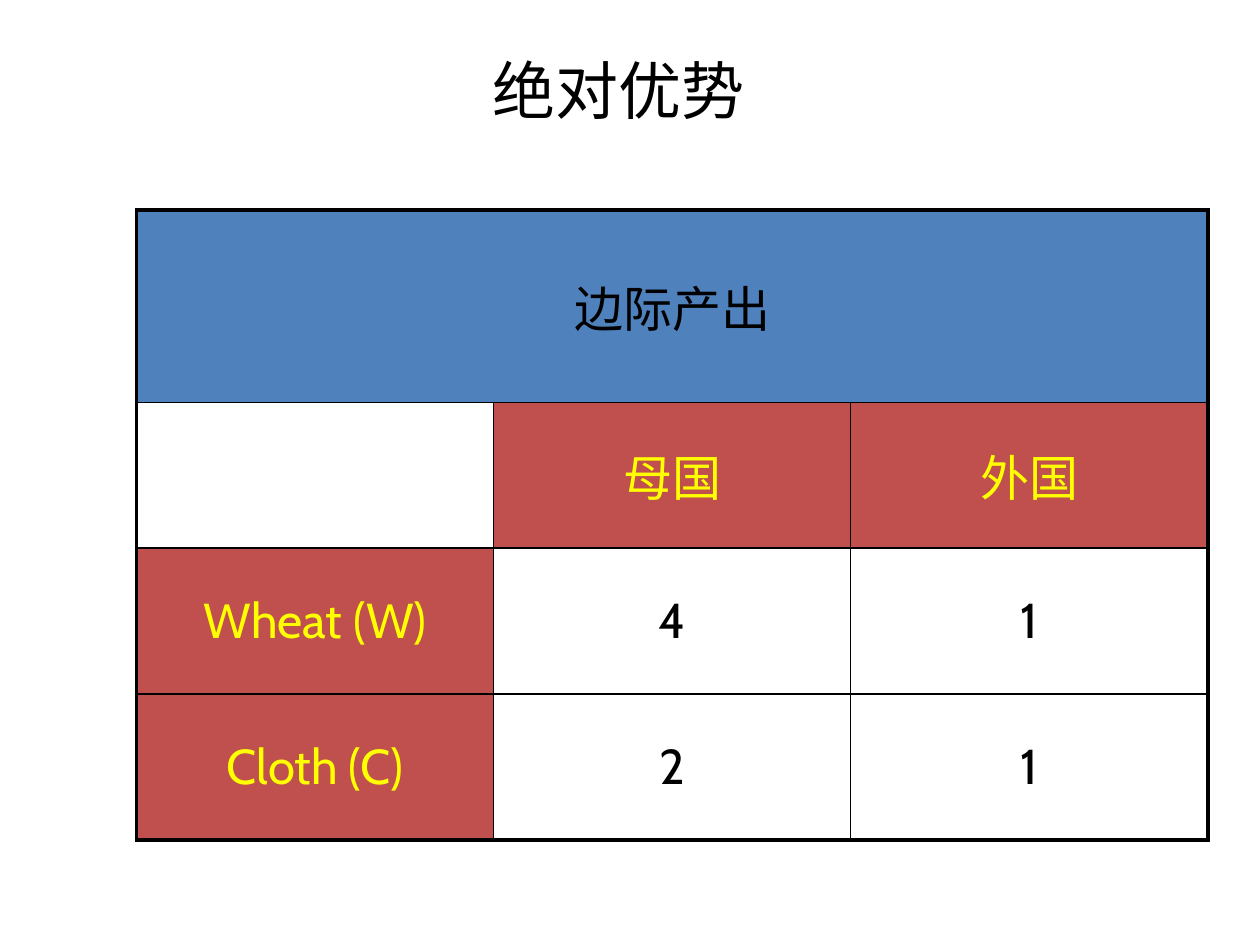
from lxml.etree import SubElement
from pptx import Presentation
from pptx.dml.color import RGBColor
from pptx.enum.text import MSO_ANCHOR as Anchor, PP_ALIGN as Align
from pptx.oxml.ns import qn
from pptx.util import Cm, Pt

BLACK, YELLOW, BLUE, RED = "000000", "FFFF00", "4F81BD", "C0504D"
ROWS = [
    ["边际产出", "", ""],
    ["", "母国", "外国"],
    ["Wheat (W)", "4", "1"],
    ["Cloth (C)", "2", "1"],
]


def rgb(value):
    return RGBColor.from_string(value)


class SlideBuilder:
    title_font = {"name": "Calibri", "size": Pt(36), "bold": False}
    cell_font = {"name": "Cabin", "size": Pt(28), "bold": False}
    outer_line, inner_line = Pt(2.25), Pt(1)

    def __init__(self, prs):
        self.s = prs.slides.add_slide(prs.slide_layouts[5])

    def add_text(self, tf, text, font, color):
        p = tf.paragraphs[0]
        p.alignment = Align.CENTER
        r = p.add_run()
        r.text = text
        for name, value in font.items():
            setattr(r.font, name, value)
        r.font.color.rgb = rgb(color)

    def title(self, text, left, top, width, height):
        sp = self.s.shapes.title
        sp.left, sp.top, sp.width, sp.height = map(Cm, (left, top, width, height))
        sp.text_frame.vertical_anchor = Anchor.MIDDLE
        self.add_text(sp.text_frame, text, self.title_font, BLACK)

    def border(self, cell, outer):
        """Draw the four sides of a cell, thicker on the sides named in outer."""
        tc_pr = cell._tc.get_or_add_tcPr()
        for side in "LRTB":
            width = self.outer_line if side in outer else self.inner_line
            ln = SubElement(tc_pr, qn(f"a:ln{side}"), w=str(int(width)))
            fill = SubElement(ln, qn("a:solidFill"))
            SubElement(fill, qn("a:srgbClr"), val=BLACK)

    def table(self, rows, left, top, col_width, row_heights):
        n_rows, n_cols = len(rows), len(rows[0])
        table = self.s.shapes.add_table(
            n_rows, n_cols, Cm(left), Cm(top),
            Cm(col_width * n_cols), Cm(sum(row_heights))).table
        table.first_row = table.horz_banding = False
        for column in table.columns:
            column.width = Cm(col_width)
        for row, height in zip(table.rows, row_heights):
            row.height = Cm(height)
        table.cell(0, 0).merge(table.cell(0, n_cols - 1))

        for i, texts in enumerate(rows):
            for j, text in enumerate(texts):
                cell = table.cell(i, j)
                edges = {"L": j == 0, "R": j == n_cols - 1 or i == 0,
                         "T": i == 0, "B": i == n_rows - 1}
                self.border(cell, [side for side, on in edges.items() if on])
                self.cell(cell, text, is_top=i == 0, is_header=i == 1 or j == 0)

    def cell(self, cell, text, is_top, is_header):
        cell.vertical_anchor = Anchor.MIDDLE
        if not text:
            cell.fill.background()
            return
        fill, color = ((BLUE, BLACK) if is_top
                       else (RED, YELLOW) if is_header else (None, BLACK))
        if fill:
            cell.fill.solid()
            cell.fill.fore_color.rgb = rgb(fill)
        else:
            cell.fill.background()
        self.add_text(cell.text_frame, text, self.cell_font, color)


def main():
    prs = Presentation()
    prs.slide_width, prs.slide_height = Cm(25.4), Cm(19.05)
    slide = SlideBuilder(prs)
    slide.title("绝对优势", 1.65, 0.63, 21.65, 2.34)
    slide.table(ROWS, 2.75, 4.23, 7.2, [3.88, 2.94, 2.94, 2.94])
    prs.save("out.pptx")


if __name__ == "__main__":
    main()
